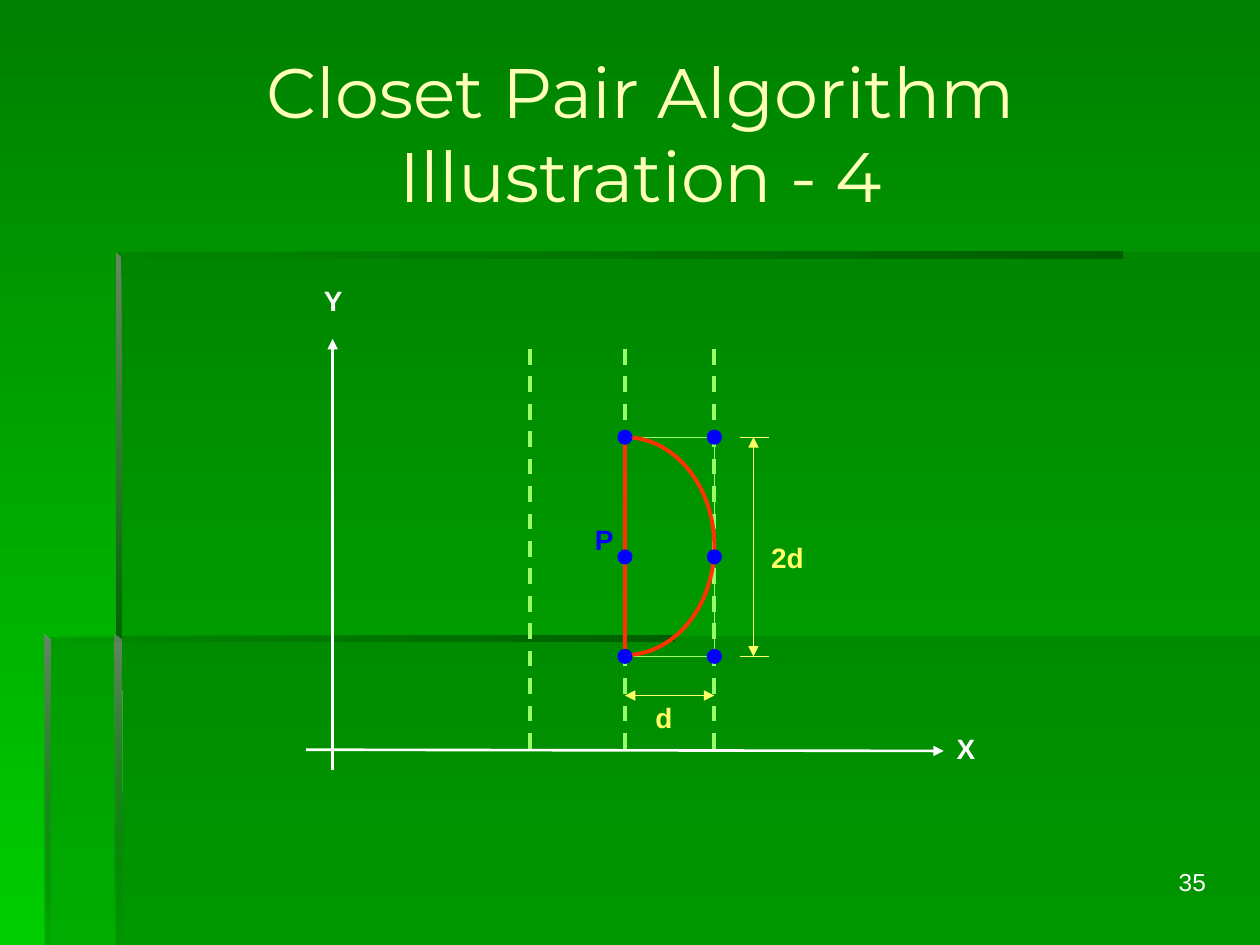
"""Build the closest pair slide: half-ellipse search region between dashed strips."""
from math import cos, pi, sin
from lxml.etree import SubElement
from pptx import Presentation
from pptx.dml.color import RGBColor
from pptx.enum.dml import MSO_LINE
from pptx.enum.shapes import MSO_CONNECTOR, MSO_SHAPE
from pptx.enum.text import MSO_ANCHOR, MSO_AUTO_SIZE, PP_ALIGN
from pptx.oxml.ns import qn
from pptx.util import Inches, Pt

THEME = {
    "top": "008000", "base": "00CC00", "shade": "006600", "deep": "005E00",
    "edge": "668666", "title": "FFFFB7", "axis": "FFFFFF", "strip": "99FF66",
    "curve": "FF3300", "dot": "0000FF", "span": "FFFF66",
    "head": 40, "label": 16, "page": 14, "thin": 0.75, "mid": 1.5, "bold": 2.25,
}


def tint(name):
    return RGBColor.from_string(THEME[name])


def style(frame, text, font, size, color, bold, align, **form):
    for key, value in form.items():
        setattr(frame, key, value)
    frame.text = text
    para = frame.paragraphs[0]
    para.alignment = align
    face = para.runs[0].font
    face.color.rgb = tint(color)
    for key, value in {"name": font, "size": Pt(THEME[size]), "bold": bold}.items():
        setattr(face, key, value)


deck = Presentation()
deck.slide_width, deck.slide_height = Inches(10), Inches(7.5)
wide, high = 100, 75
unit = deck.slide_width / wide
slide = deck.slides.add_slide(deck.slide_layouts[5])
shapes = slide.shapes

fill = slide.background.fill
fill.gradient()
fill.gradient_angle = 270
for stop, name in zip(fill.gradient_stops, ("top", "base")):
    stop.color.rgb = tint(name)

# Panels
left, inner, rise, drop = 3.5, 9.2, 20, 50.4
panels = [
    ([(inner, 50.5), (inner, high), (wide, high), (wide, 50.5)], [("shade", 30)], 0),
    ([(9.4, 50.6), (3.6, 50.6), (3.6, high), (wide, high), (wide, rise), (9.4, rise)],
     [("shade", 30)], 0),
    ([(inner, rise), (inner, 20.5), (89.1, 20.5), (89.1, rise)],
     [("shade", 0), ("deep", 100)], 0),
    ([(inner, rise), (inner, 51), (9.7, 51), (9.6, 20.4)],
     [("edge", 100), ("shade", 100)], 270),
    ([(9.1, high), (9.7, high), (9.6, 50.8), (9.1, drop)],
     [("edge", 100), ("shade", 0)], 270),
    ([(left, drop), (left, 50.9), (53.5, 50.9), (53.5, drop)],
     [("shade", 0), ("deep", 100)], 0),
    ([(left, drop), (left, high), (4, high), (4, 50.9)],
     [("edge", 100), ("shade", 10)], 270),
]
for points, stops, angle in panels:
    spots = [(x * unit, y * unit) for x, y in points]
    pen = shapes.build_freeform(*spots[0], scale=1)
    pen.add_line_segments(spots[1:], close=True)
    panel = pen.convert_to_shape()
    panel.shadow.inherit = False
    panel.line.fill.background()
    if len(stops) == 1:
        panel.fill.solid()
        panel.fill.fore_color.rgb = tint(stops[0][0])
    else:
        panel.fill.gradient()
        panel.fill.gradient_angle = angle
        for stop, (name, _) in zip(panel.fill.gradient_stops, stops):
            stop.color.rgb = tint(name)
    for node, (_, share) in zip(panel.element.spPr.iter(qn("a:srgbClr")), stops):
        SubElement(node, qn("a:alpha"), val=str(share * 1000))

# Lines
p, far, near = 49.6, 56.7, 42.1
top, mid, low = 34.7, 44.2, 52.1
lines = [((x, 27.7), (x, 59.5), "strip", "bold", True, ()) for x in (near, p, far)]
lines += [
    ((far, top), (far, low), "strip", "thin", False, ()),
    ((26.4, 26.9), (26.4, 61.1), "axis", "mid", False, ("headEnd",)),
    ((24.3, 59.5), (74.9, 59.6), "axis", "mid", False, ("tailEnd",)),
    ((p, 55.2), (far, 55.2), "span", "thin", False, ("headEnd", "tailEnd")),
    ((59.8, top), (59.8, low), "span", "thin", False, ("headEnd", "tailEnd")),
]
for y in (top, low):
    lines.append(((p, y), (far, y), "strip", "thin", False, ()))
    lines.append(((58.7, y), (61, y), "span", "thin", False, ()))
for start, end, color, width, dashed, tips in lines:
    ends = [int(v * unit) for v in start + end]
    line = shapes.add_connector(MSO_CONNECTOR.STRAIGHT, *ends)
    line.line.color.rgb = tint(color)
    line.line.width = Pt(THEME[width])
    if dashed:
        line.line.dash_style = MSO_LINE.DASH
    props = line.element.spPr
    for tip in tips:
        SubElement(props.find(qn("a:ln")), qn("a:" + tip), type="triangle")
    SubElement(props, qn("a:effectLst"))

# Search region
steps, tall = 60, 8.65
turns = [pi * i / steps - pi / 2 for i in range(steps + 1)]
arc = [((p + (far - p) * sin(t + pi / 2)) * unit,
        (top + tall - tall * cos(t + pi / 2)) * unit) for t in turns]
pen = shapes.build_freeform(*arc[0], scale=1)
pen.add_line_segments(arc[1:], close=True)
region = pen.convert_to_shape()
region.shadow.inherit = False
region.fill.background()
region.line.color.rgb = tint("curve")
region.line.width = Pt(THEME["bold"])

# Points
size = 1.2
for x in (p, far):
    for y in (top, mid, low):
        spot = [int(v * unit) for v in (x - size / 2, y - size / 2, size, size)]
        dot = shapes.add_shape(MSO_SHAPE.OVAL, *spot)
        dot.shadow.inherit = False
        dot.fill.solid()
        dot.fill.fore_color.rgb = tint("dot")
        dot.line.fill.background()

# Text
bare = {"margin_left": 0, "margin_right": 0, "margin_top": 0, "margin_bottom": 0,
        "word_wrap": False, "auto_size": MSO_AUTO_SIZE.SHAPE_TO_FIT_TEXT}
labels = [("Y", 25.7, 22.5, 1.5, "axis"), ("X", 75.9, 58.1, 1.5, "axis"),
          ("P", 47.2, 41.5, 1.5, "dot"), ("d", 52, 55.6, 1.4, "span"),
          ("2d", 61.2, 42.9, 2.6, "span")]
for text, x, y, width, color in labels:
    box = shapes.add_textbox(*[int(v * unit) for v in (x, y, width, 2.7)])
    style(box.text_frame, text, "Arial", "label", color, True, PP_ALIGN.CENTER, **bare)

page = shapes.add_textbox(*[int(v * unit) for v in (75.9, 68.3, 20.8, 5.2)])
style(page.text_frame, "35", "Arial", "page", "axis", False, PP_ALIGN.RIGHT, word_wrap=True)

title = shapes.title
for key, value in {"left": 5, "top": 2.7, "width": 91.7, "height": 15.7}.items():
    setattr(title, key, int(value * unit))
style(title.text_frame, "Closet Pair Algorithm Illustration - 4", "Montserrat", "head",
      "title", False, PP_ALIGN.CENTER, word_wrap=True,
      vertical_anchor=MSO_ANCHOR.MIDDLE, auto_size=MSO_AUTO_SIZE.NONE)

deck.save("out.pptx")
